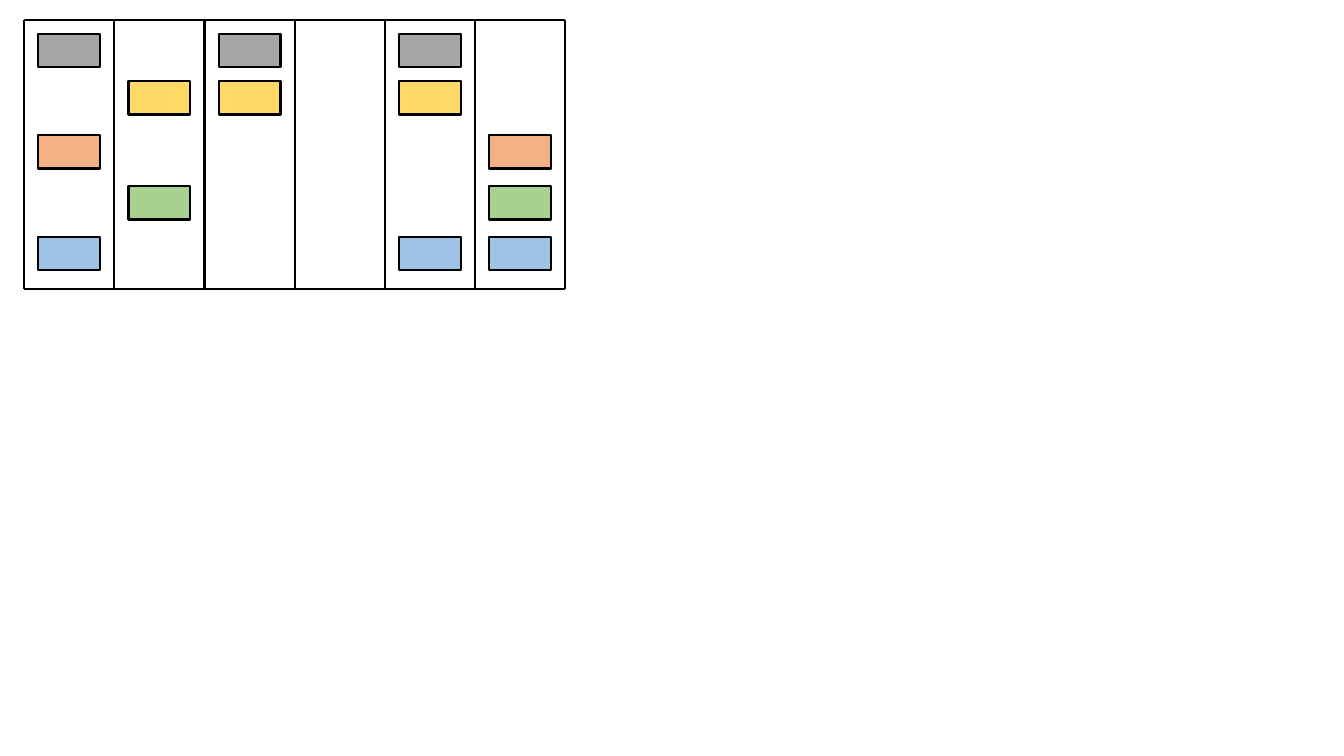
from pptx import Presentation
from pptx.dml.color import RGBColor
from pptx.enum.shapes import MSO_CONNECTOR, MSO_SHAPE
from pptx.oxml.ns import qn
from pptx.util import Pt
from lxml.etree import SubElement


def color(hex_code):
    return RGBColor.from_string(hex_code)


def rule(x1, y1, x2, y2):
    line = slide.shapes.add_connector(
        MSO_CONNECTOR.STRAIGHT, Pt(x1), Pt(y1), Pt(x2), Pt(y2))
    line.line.color.rgb = color("000000")
    line.line.width = Pt(1.5)
    SubElement(line._element.spPr, qn("a:effectLst"))


deck = Presentation()
deck.slide_width = Pt(960)
deck.slide_height = Pt(540)
slide = deck.slides.add_slide(deck.slide_layouts[6])

COLUMNS = 6
LEFT, TOP, BOTTOM = 17.2, 14.4, 206.6
COLUMN_WIDTH = 64.45
RIGHT = LEFT + COLUMNS * COLUMN_WIDTH
BLOCK_WIDTH, BLOCK_HEIGHT = 44.2, 23.8
BLOCK_INSET = (COLUMN_WIDTH - BLOCK_WIDTH) / 2

for y in (TOP, BOTTOM):
    rule(LEFT, y, RIGHT, y)
for edge in range(COLUMNS + 1):
    x = LEFT + edge * COLUMN_WIDTH
    rule(x, BOTTOM, x, TOP)

block_rows = [
    (24.4, "A6A6A6", (0, 2, 4)),
    (58, "FFD966", (1, 2, 4)),
    (96.6, "F4B183", (0, 5)),
    (133, "A9D18E", (1, 5)),
    (169.2, "9DC3E6", (0, 4, 5)),
]
for block_top, fill, columns in block_rows:
    for column in columns:
        block = slide.shapes.add_shape(
            MSO_SHAPE.RECTANGLE,
            Pt(LEFT + column * COLUMN_WIDTH + BLOCK_INSET), Pt(block_top),
            Pt(BLOCK_WIDTH), Pt(BLOCK_HEIGHT))
        block.shadow.inherit = False
        block.fill.solid()
        block.fill.fore_color.rgb = color(fill)
        block.line.color.rgb = color("000000")
        block.line.width = Pt(1.5)

deck.save("out.pptx")
